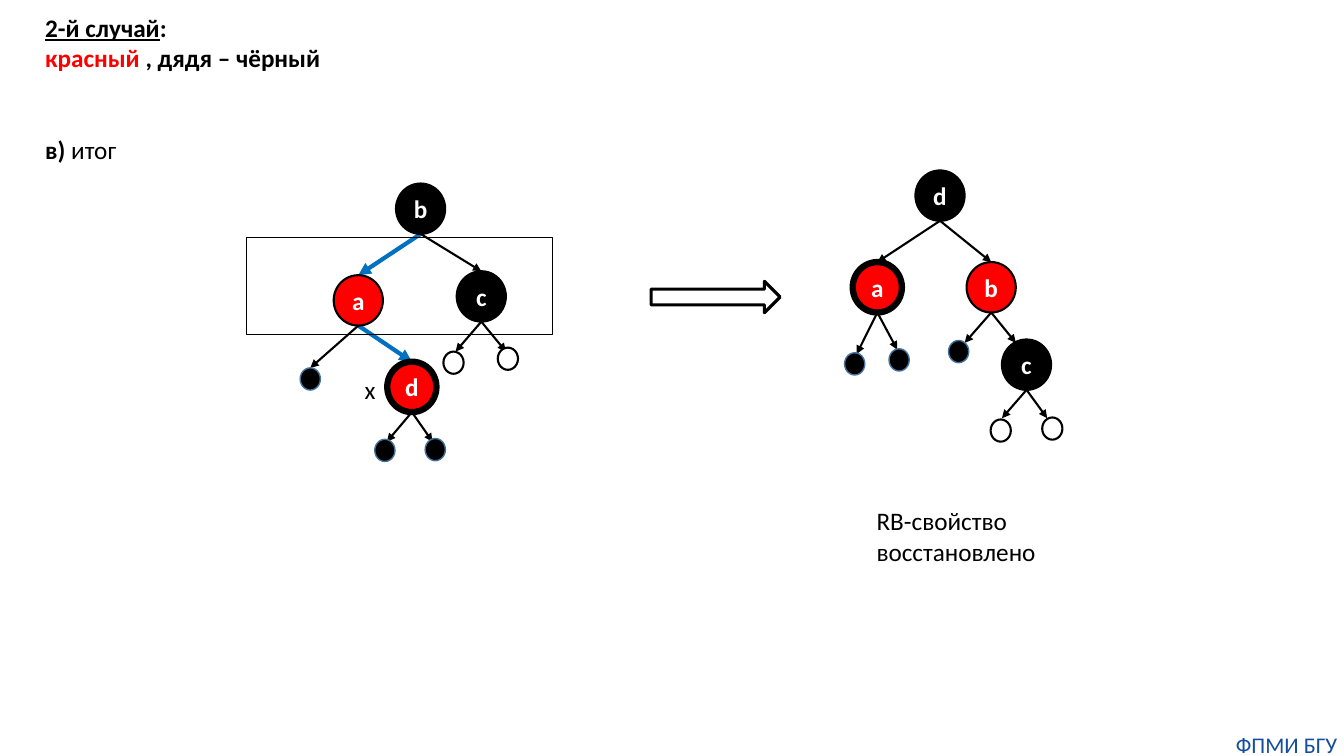
from lxml.etree import SubElement
from pptx import Presentation
from pptx.dml.color import RGBColor
from pptx.enum.shapes import MSO_CONNECTOR, MSO_SHAPE
from pptx.enum.text import MSO_ANCHOR, MSO_AUTO_SIZE, PP_ALIGN
from pptx.oxml.ns import qn
from pptx.util import Cm, Pt

COLORS = {
    "black": "000000",
    "white": "FFFFFF",
    "red": "FF0000",
    "blue": "0070C0",
    "nil_edge": "43739E",
    "footer": "144E9D",
}
NODE_W, NODE_H = 1.24, 1.27
LEAF_W, LEAF_H = 0.51, 0.56


def rgb(name):
    return RGBColor.from_string(COLORS[name])


class TreeSlide:
    font, size = "Calibri", 18

    def __init__(self, prs):
        self.slide = prs.slides.add_slide(prs.slide_layouts[6])
        self.shapes = self.slide.shapes

    def run(self, paragraph, text, color="black", bold=False, underline=False, size=None):
        run = paragraph.add_run()
        run.text = text
        run.font.name, run.font.size = self.font, Pt(size or self.size)
        run.font.bold, run.font.underline = bold, underline
        run.font.color.rgb = rgb(color)

    def text(self, box, lines, wrap=True, align=PP_ALIGN.LEFT, inset=None):
        """Each line is (space before in points, list of run settings)."""
        frame = self.shapes.add_textbox(*map(Cm, box)).text_frame
        frame.word_wrap = wrap
        frame.auto_size = MSO_AUTO_SIZE.SHAPE_TO_FIT_TEXT
        if inset is not None:
            frame.margin_left = frame.margin_right = Cm(inset)
            frame.margin_top = frame.margin_bottom = Cm(inset)
        for number, (gap, runs) in enumerate(lines):
            paragraph = frame.add_paragraph() if number else frame.paragraphs[0]
            paragraph.alignment = align
            if gap:
                paragraph.space_before = Pt(gap)
            for settings in runs:
                self.run(paragraph, **settings)

    def shape(self, kind, box, line="black", width=1.5, fill=None):
        shape = self.shapes.add_shape(kind, *map(Cm, box))
        shape.shadow.inherit = False
        if fill:
            shape.fill.solid()
            shape.fill.fore_color.rgb = rgb(fill)
        else:
            shape.fill.background()
        shape.line.color.rgb, shape.line.width = rgb(line), Pt(width)
        return shape

    def circle(self, center, size, **style):
        (x, y), (w, h) = center, size
        return self.shape(MSO_SHAPE.OVAL, (x - w / 2, y - h / 2, w, h), **style)

    def node(self, key, center, fill, width):
        frame = self.circle(center, (NODE_W, NODE_H), fill=fill, width=width).text_frame
        frame.vertical_anchor = MSO_ANCHOR.MIDDLE
        paragraph = frame.paragraphs[0]
        paragraph.alignment = PP_ALIGN.CENTER
        self.run(paragraph, key, "white", bold=True)

    def leaf(self, center, nil):
        style = dict(fill="black", line="nil_edge", width=1) if nil else dict(fill="white")
        self.circle(center, (LEAF_W, LEAF_H), **style)

    def edge(self, start, tip, color="black", width=1.5):
        edge = self.shapes.add_connector(MSO_CONNECTOR.STRAIGHT, *map(Cm, (*start, *tip)))
        edge.line.color.rgb, edge.line.width = rgb(color), Pt(width)
        props = edge.line._get_or_add_ln()
        SubElement(props, qn("a:tailEnd"), type="triangle")
        SubElement(edge._element.spPr, qn("a:effectLst"))

    def tree(self, nodes, links, leaves):
        def below(key):
            x, y = nodes[key][0]
            return x, y + NODE_H / 2

        def above(key):
            x, y = nodes[key][0]
            return x, y - NODE_H / 2

        for parent, child, color, width, tip in links:
            self.edge(below(parent), tip or above(child), color, width)
        for parent, center, tip, nil in leaves:
            self.edge(below(parent), tip)
            self.leaf(center, nil)
        for key, (center, fill, width) in nodes.items():
            self.node(key, center, fill, width)


def main():
    prs = Presentation()
    prs.slide_width, prs.slide_height = Cm(33.87), Cm(19.05)
    page = TreeSlide(prs)

    # Footer
    page.text((30.99, 18.42, 2.87, 0.69),
              [(0, [dict(text="ФПМИ БГУ", color="footer", size=16)])],
              align=PP_ALIGN.CENTER, inset=0)

    # Tree before the rotation: the highlighted path is b, a, d
    page.tree(
        nodes={
            "b": ((10.6, 5.26), "black", 1.5),
            "a": ((9.03, 7.57), "red", 1.5),
            "c": ((12.13, 7.47), "black", 1.5),
            "d": ((10.38, 9.75), "red", 4.5),
        },
        links=[
            ("b", "a", "blue", 3, None),
            ("b", "c", "black", 1.5, None),
            ("a", "d", "blue", 3, None),
        ],
        leaves=[
            ("a", (7.82, 9.55), (7.82, 9.27), True),
            ("d", (9.7, 11.35), (9.75, 11.13), True),
            ("d", (10.97, 11.33), (10.9, 11.13), True),
            ("c", (11.43, 9.14), (11.48, 8.86), False),
            ("c", (12.8, 9.04), (12.75, 8.86), False),
        ],
    )
    page.text((8.94, 9.32, 0.79, 1.02), [(0, [dict(text="x")])], wrap=False)
    page.shape(MSO_SHAPE.RECTANGLE, (6.22, 5.99, 7.7, 2.44), width=1)

    # Tree after the rotation
    page.tree(
        nodes={
            "d": ((23.69, 4.93), "black", 1.5),
            "a": ((22.11, 7.24), "red", 4.5),
            "b": ((24.98, 7.24), "red", 1.5),
            "c": ((25.87, 9.19), "black", 1.5),
        },
        links=[
            ("d", "a", "black", 1.5, None),
            ("d", "b", "black", 1.5, None),
            ("b", "c", "black", 1.5, (25.6, 8.64)),
        ],
        leaves=[
            ("a", (21.54, 9.17), (21.59, 8.92), True),
            ("a", (22.66, 9.07), (22.61, 8.81), True),
            ("b", (24.16, 8.86), (24.31, 8.64), True),
            ("c", (25.22, 10.85), (25.25, 10.54), False),
            ("c", (26.52, 10.8), (26.39, 10.54), False),
        ],
    )
    page.text((21.84, 12.62, 4.57, 1.8),
              [(0, [dict(text="RB-свойство")]), (0, [dict(text="восстановлено")])],
              wrap=False)

    # Transition arrow
    page.shape(MSO_SHAPE.RIGHT_ARROW, (16.41, 7.09, 3.25, 0.79), width=2.25)

    # Case description
    page.text((0.89, 0.18, 9.42, 4.11), [
        (0, [dict(text="2-й случай", bold=True, underline=True), dict(text=":", bold=True)]),
        (0, [dict(text="красный ", color="red", bold=True),
             dict(text=", дядя – чёрный", bold=True)]),
        (44, [dict(text="в) ", bold=True), dict(text="итог")]),
    ])

    prs.save("out.pptx")


if __name__ == "__main__":
    main()
